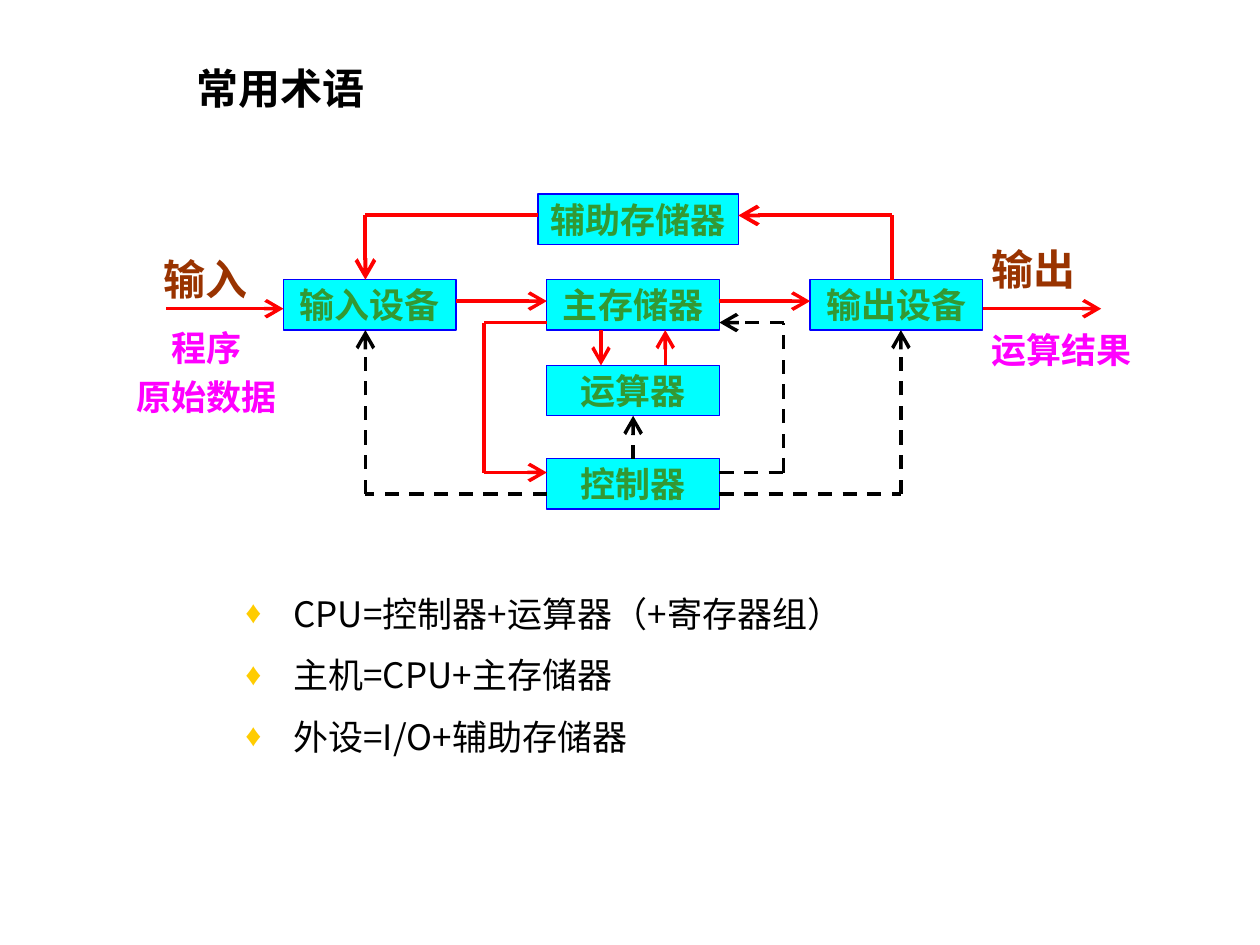
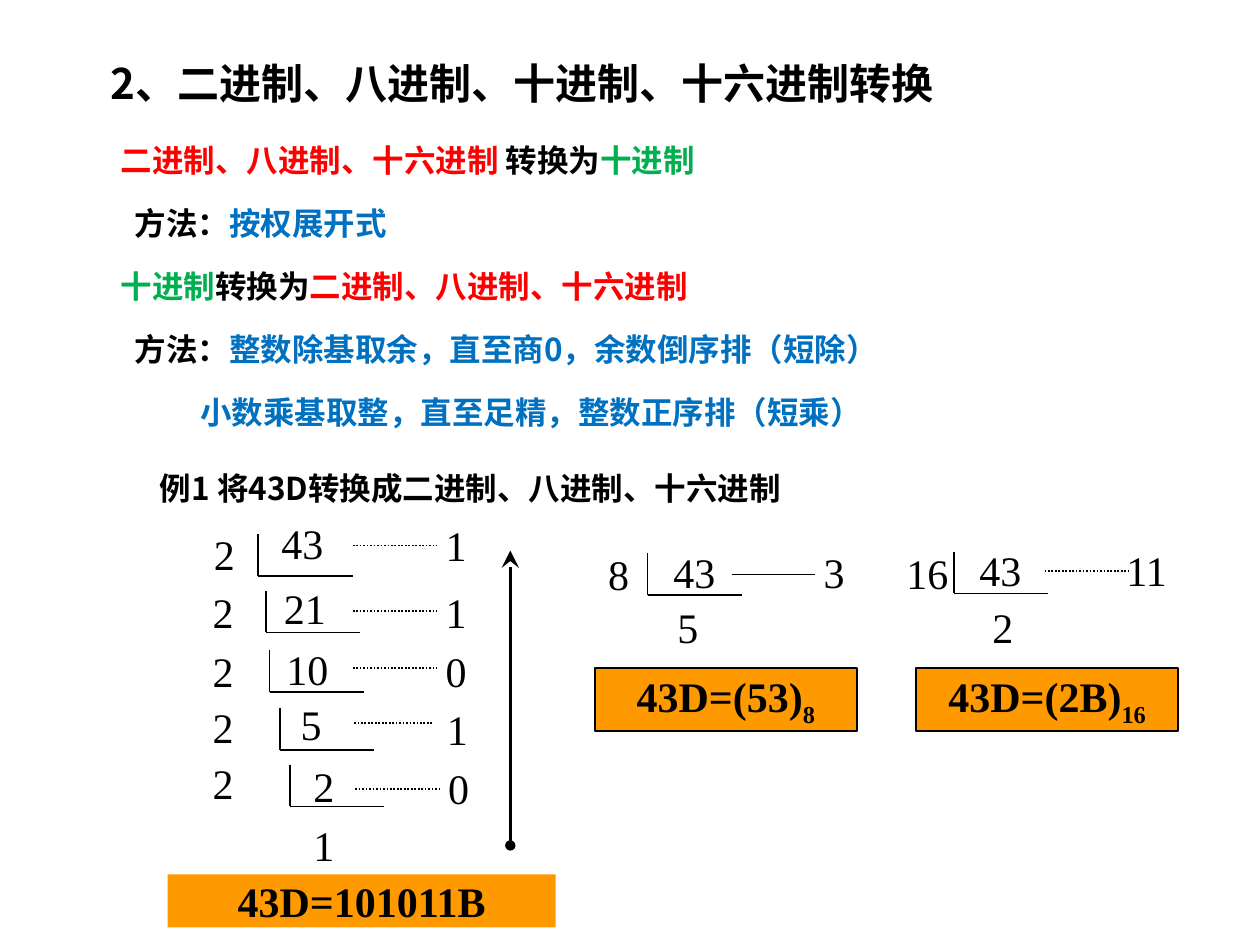
from itertools import pairwise

from lxml.etree import SubElement
from pptx import Presentation
from pptx.dml.color import RGBColor
from pptx.enum.dml import MSO_LINE
from pptx.enum.shapes import MSO_CONNECTOR, MSO_SHAPE
from pptx.enum.text import MSO_ANCHOR, PP_ALIGN
from pptx.oxml.ns import qn
from pptx.util import Inches, Pt

rgb = RGBColor.from_string
BLACK, RED, GREEN, BLUE = "000000", "FF0000", "00B050", "0070C0"
CYAN, ORANGE, MAGENTA, BROWN = "00FFFF", "FF9900", "FF00FF", "993300"
SANS, SERIF = "Noto Sans CJK SC", "Times New Roman"

TITLE = {"size": Pt(24), "name": SANS, "bold": True}
BODY = {"size": Pt(20), "name": SANS}
METHOD = {"size": Pt(18), "name": SANS, "bold": True}
UNIT = {"size": Pt(20), "name": SERIF, "bold": True}
CAPTION = {"size": Pt(24), "name": SERIF, "bold": True}
DIGIT = {"size": Pt(24), "name": SERIF}

MIDDLE = {"vertical_anchor": MSO_ANCHOR.MIDDLE}
NO_WRAP = {"word_wrap": False}
TIGHT = {"word_wrap": False, "margin_left": 0, "margin_right": 0}
CENTRED = {"alignment": PP_ALIGN.CENTER}


def add_text(slide, box, paragraphs, font, frame={}, layout={}, fill=None, border=None):
    place = [Inches(length) for length in box]
    if fill:
        shape = slide.shapes.add_shape(MSO_SHAPE.RECTANGLE, *place)
        shape.shadow.inherit = False
        shape.fill.solid()
        shape.fill.fore_color.rgb = rgb(fill)
        if border:
            shape.line.color.rgb = rgb(border[0])
            shape.line.width = Pt(border[1])
        else:
            shape.line.fill.background()
    else:
        shape = slide.shapes.add_textbox(*place)
    text_frame = shape.text_frame
    for key, value in {"word_wrap": True, **frame}.items():
        setattr(text_frame, key, value)
    for index, runs in enumerate(paragraphs):
        paragraph = text_frame.add_paragraph() if index else text_frame.paragraphs[0]
        for key, value in {"alignment": PP_ALIGN.LEFT, **layout}.items():
            setattr(paragraph, key, value)
        if index:
            paragraph.space_before = int(font["size"] * 0.2)
        for text, color in runs:
            run = paragraph.add_run()
            run.text = text
            for key, value in font.items():
                setattr(run.font, key, value)
            run.font.color.rgb = rgb(color)
            SubElement(run.font._element, qn("a:ea"), typeface=SANS)
    return shape


def add_line(slide, start, end, color=BLACK, width=1, dash=None, head=None, tail=None):
    points = [Inches(length) for length in (*start, *end)]
    connector = slide.shapes.add_connector(MSO_CONNECTOR.STRAIGHT, *points)
    connector.line.color.rgb = rgb(color)
    connector.line.width = Pt(width)
    if dash:
        connector.line.dash_style = dash
    outline = connector.line._get_or_add_ln()
    for tag, kind, size in (("a:headEnd", head, "med"), ("a:tailEnd", tail, "lg")):
        if kind:
            SubElement(outline, qn(tag), type=kind, w=size, len=size)
    SubElement(connector._element.spPr, qn("a:effectLst"))
    return connector


presentation = Presentation()
presentation.slide_width = Inches(10)
presentation.slide_height = Inches(7.5)
blank = presentation.slide_layouts[6]

slide = presentation.slides.add_slide(blank)
add_text(slide, (1.46, 0.32, 2, 0.75), [[("常用术语", BLACK)]], TITLE, MIDDLE)

terms = ["CPU=控制器+运算器（+寄存器组）", "主机=CPU+主存储器", "外设=I/O+辅助存储器"]
term_box = add_text(slide, (1.85, 4.55, 6.16, 1.38), [[(term, BLACK)] for term in terms],
                    BODY, layout={"line_spacing": 1.3})
for paragraph in term_box.text_frame.paragraphs:
    properties = paragraph._p.get_or_add_pPr()
    properties.set("marL", str(Inches(0.38)))
    properties.set("indent", str(-Inches(0.38)))
    bullet_color = SubElement(properties, qn("a:buClr"))
    SubElement(bullet_color, qn("a:srgbClr"), val="FFCC00")
    SubElement(properties, qn("a:buSzPct"), val="90000")
    SubElement(properties, qn("a:buFont"), typeface=SERIF)
    SubElement(properties, qn("a:buChar"), char="♦")

units = {}
for name, left, top, width in [
    ("运算器", 4.34, 2.9, 1.37),
    ("输入设备", 2.25, 2.22, 1.37),
    ("主存储器", 4.34, 2.22, 1.37),
    ("辅助存储器", 4.27, 1.54, 1.59),
    ("输出设备", 6.43, 2.22, 1.37),
    ("控制器", 4.34, 3.64, 1.37),
]:
    units[name] = add_text(slide, (left, top, width, 0.4), [[(name, "339933")]], UNIT,
                           {**TIGHT, **MIDDLE}, CENTRED, CYAN, ("0000FF", 0.75))

data_flow = {"color": RED, "width": 2}
storage_flow = {"color": RED, "width": 2.25}
control_flow = {"color": BLACK, "width": 2, "dash": MSO_LINE.DASH}
for flow, route in [
    (data_flow, [(1.32, 2.45), (2.25, 2.45)]),
    (data_flow, [(3.62, 2.39), (4.34, 2.39)]),
    (data_flow, [(5.71, 2.39), (6.43, 2.39)]),
    (data_flow, [(7.8, 2.45), (8.74, 2.45)]),
    (storage_flow, [(7.08, 2.22), (7.08, 1.71), (5.86, 1.71)]),
    (storage_flow, [(4.27, 1.71), (2.9, 1.71), (2.9, 2.22)]),
    (data_flow, [(4.77, 2.62), (4.77, 2.9)]),
    (data_flow, [(5.28, 2.9), (5.28, 2.62)]),
    (data_flow, [(4.34, 2.56), (3.84, 2.56), (3.84, 3.75), (4.34, 3.75)]),
    (control_flow, [(5.71, 3.75), (6.22, 3.75), (6.22, 2.56), (5.71, 2.56)]),
    (control_flow, [(5.71, 3.92), (7.15, 3.92), (7.15, 2.62)]),
    (control_flow, [(4.34, 3.92), (2.9, 3.92), (2.9, 2.62)]),
]:
    for start, end in pairwise(route):
        add_line(slide, start, end, **flow, tail="arrow" if end == route[-1] else None)

control_link = add_line(slide, (5.02, 3.64), (5.02, 3.3), **control_flow, tail="arrow")
control_link.begin_connect(units["控制器"], 0)
control_link.end_connect(units["运算器"], 2)

for box, lines, color, font, layout in [
    ((1.3, 1.96, 0.67, 0.5), ["输入"], BROWN, CAPTION, {}),
    ((7.87, 1.88, 0.67, 0.5), ["输出"], BROWN, CAPTION, {}),
    ((1.08, 2.54, 1.12, 0.83), ["程序", "原始数据"], MAGENTA, UNIT, CENTRED),
    ((7.87, 2.56, 1.12, 0.43), ["运算结果"], MAGENTA, UNIT, {}),
]:
    add_text(slide, box, [[(line, color)] for line in lines], font, TIGHT, layout)

slide = presentation.slides.add_slide(blank)
add_text(slide, (0.78, 0.16, 8.5, 1), [[("2、二进制、八进制、十进制、十六进制转换", BLACK)]],
         TITLE, MIDDLE)

methods = [
    (0, [("二进制、八进制、十六进制 ", RED), ("转换为", BLACK), ("十进制", GREEN)]),
    (0.11, [("方法：", BLACK), ("按权展开式", BLUE)]),
    (0, [("十进制", GREEN), ("转换为", BLACK), ("二进制、八进制、十六进制", RED)]),
    (0.11, [("方法：", BLACK), ("整数除基取余，直至商0，余数倒序排（短除）", BLUE)]),
    (0.63, [("小数乘基取整，直至足精，整数正序排（短乘）", BLUE)]),
]
method_box = add_text(slide, (0.86, 0.92, 8.5, 2.65), [runs for _, runs in methods],
                      METHOD, layout={"line_spacing": 1.5})
for paragraph, (indent, _) in zip(method_box.text_frame.paragraphs, methods):
    paragraph._p.get_or_add_pPr().set("marL", str(Inches(indent)))

add_text(slide, (1.17, 3.67, 6.2, 0.4),
         [[("例1 将43D转换成二进制、八进制、十六进制", BLACK)]], METHOD)

DOTTED = MSO_LINE.ROUND_DOT
digits = [("1", 2.28, 6.54), ("5", 5.17, 4.81), ("2", 7.67, 4.81)]
for divisor, dividend, remainder, bracket, leader, dash in [
    (("2", 1.49, 4.23), ("43", 2.11, 4.14), ("1", 3.33, 4.16), (2.05, 4.24), (2.8, 3.47, 4.33), DOTTED),
    (("2", 1.48, 4.69), ("21", 2.13, 4.66), ("1", 3.33, 4.69), (2.11, 4.69), (2.8, 3.47, 4.85), DOTTED),
    (("2", 1.48, 5.16), ("10", 2.15, 5.14), ("0", 3.33, 5.16), (2.14, 5.16), (2.8, 3.47, 5.3), DOTTED),
    (("2", 1.48, 5.6), ("5", 2.18, 5.58), ("1", 3.34, 5.62), (2.22, 5.62), (2.81, 3.44, 5.74), DOTTED),
    (("2", 1.48, 6.05), ("2", 2.28, 6.07), ("0", 3.35, 6.09), (2.3, 6.07), (2.82, 3.49, 6.26), DOTTED),
    (("8", 4.62, 4.39), ("43", 5.22, 4.37), ("3", 6.33, 4.37), (5.14, 4.39), (5.81, 6.47, 4.56), None),
    (("16", 7.07, 4.38), ("43", 7.65, 4.36), ("11", 8.81, 4.36), (7.57, 4.38), (8.29, 8.96, 4.53), DOTTED),
]:
    digits += [divisor, dividend, remainder]
    left, top = bracket
    corner = (left, top + 0.33)
    add_line(slide, bracket, corner)
    add_line(slide, corner, (left + 0.75, top + 0.33))
    leader_left, leader_right, leader_top = leader
    add_line(slide, (leader_left, leader_top), (leader_right, leader_top), dash=dash)

for text, left, top in digits:
    add_text(slide, (left, top, 0.58, 0.33), [[(text, BLACK)]], DIGIT,
             {**TIGHT, **MIDDLE}, CENTRED)

add_line(slide, (4.05, 6.71), (4.05, 4.37), width=1.5, head="oval", tail="stealth")

for box, result, base, border in [
    ((1.33, 6.94, 3.08, 0.42), "43D=101011B", None, None),
    ((4.72, 5.3, 2.08, 0.5), "43D=(53)", "8", (BLACK, 1)),
    ((7.27, 5.3, 2.08, 0.5), "43D=(2B)", "16", (BLACK, 1)),
]:
    runs = [(text, BLACK) for text in (result, base) if text]
    answer = add_text(slide, box, [runs], CAPTION, {**NO_WRAP, **MIDDLE}, CENTRED,
                      ORANGE, border)
    if base:
        answer.text_frame.paragraphs[0].runs[1].font._element.set("baseline", "-25000")

presentation.save("out.pptx")
